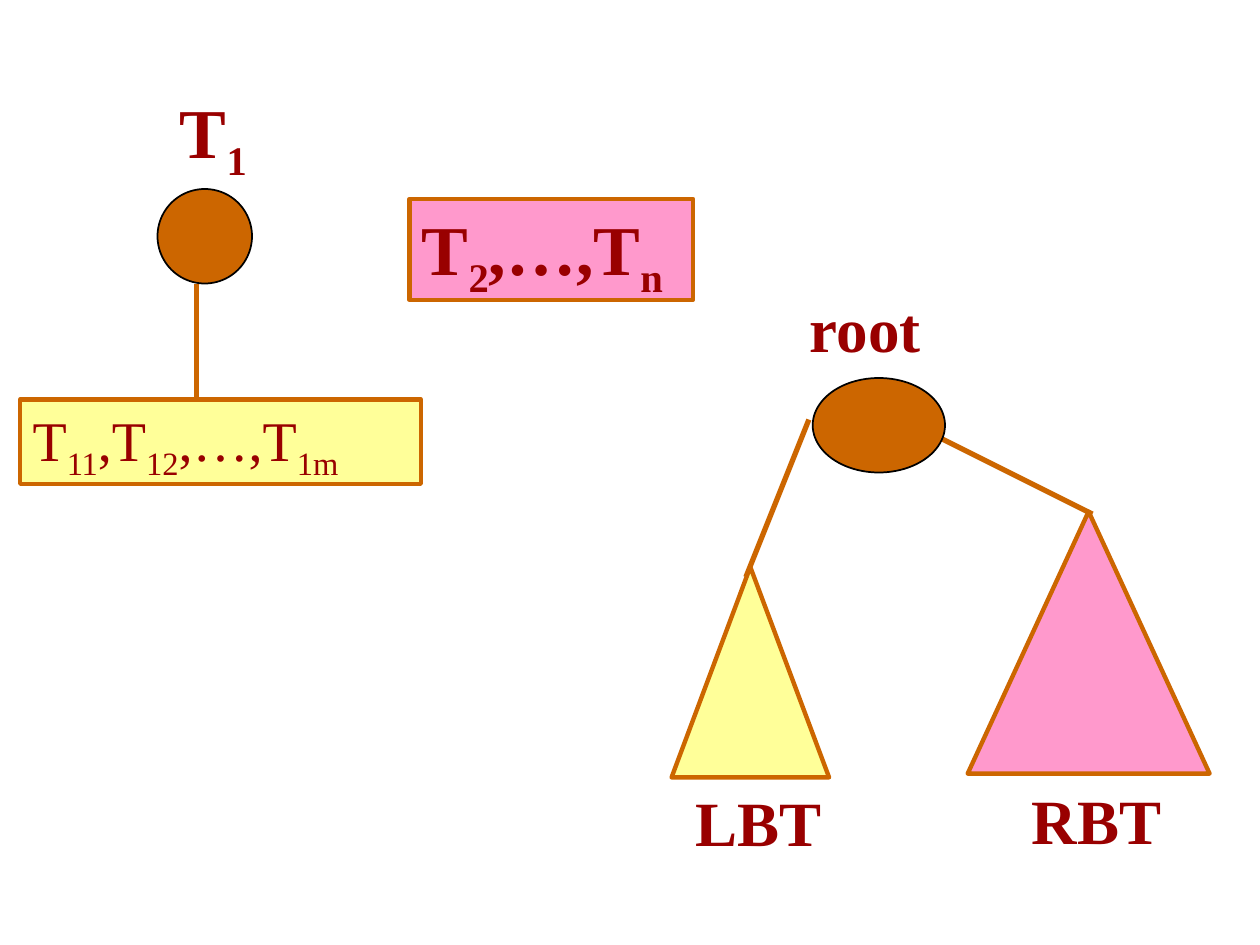
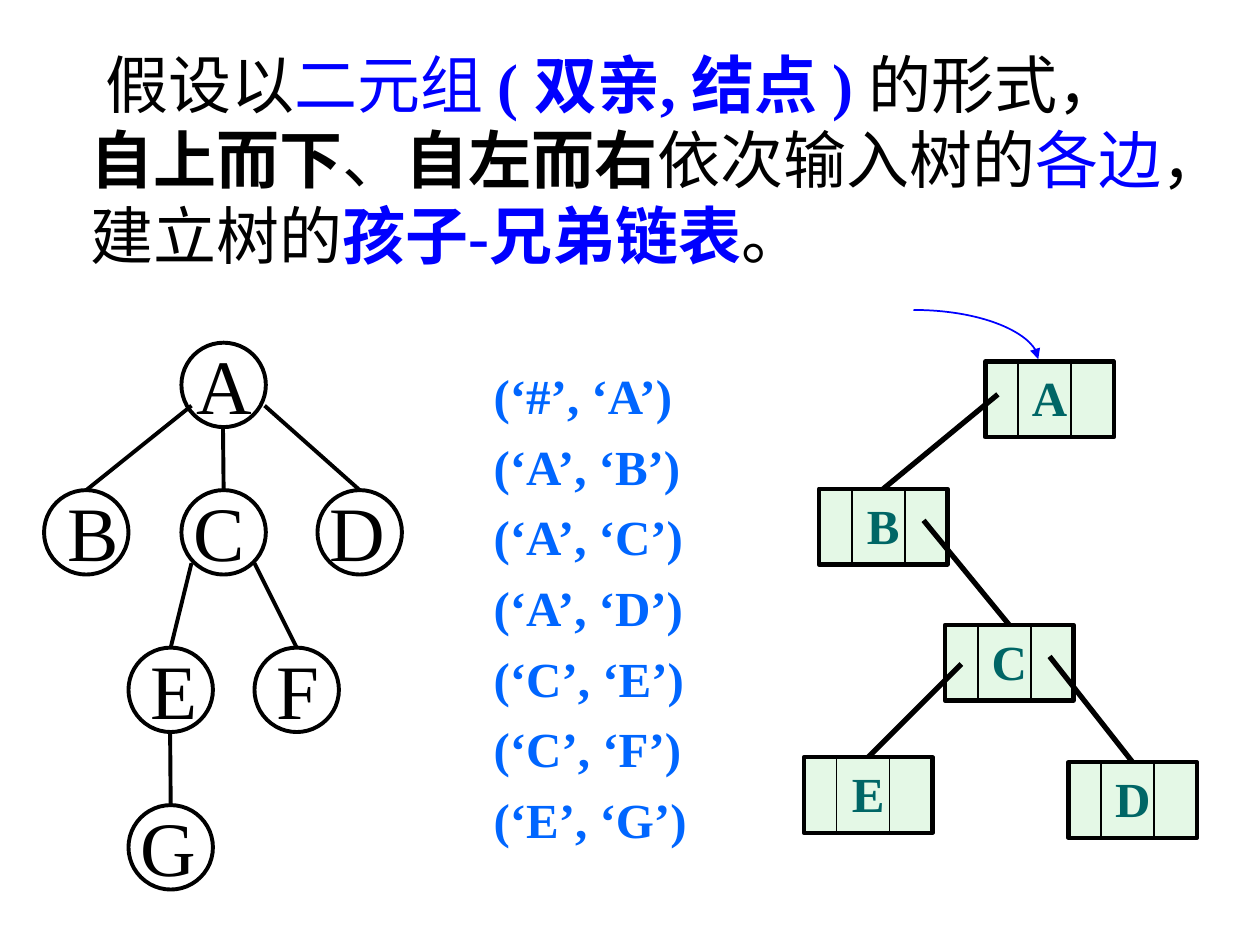
import pptx
import pptx.util
import pptx.dml.color
import pptx.enum.shapes
import pptx.enum.text
import pptx.oxml.ns
import lxml.etree

Inch, Pt = pptx.util.Inches, pptx.util.Pt
Kind = pptx.enum.shapes.MSO_SHAPE
Link = pptx.enum.shapes.MSO_CONNECTOR
Align = pptx.enum.text.PP_ALIGN

FONT = "Times New Roman"
HUES = {
    "ink": "000000", "wine": "990000", "rust": "CC6600", "lemon": "FFFF99",
    "pink": "FF99CC", "blue": "0000FF", "sky": "0066FF", "mint": "CAF2CE",
    "teal": "006666",
}

# Slide 1: a run is (text, changes); SUB marks an index
SUB = {"sub": True}
HEADS = [
    ((1.33, 0.65, 0.92, 0.77), 40, [("T", {}), ("1", SUB)]),
    ((5.42, 6.17, 1.5, 0.7), 36, [("LBT", {})]),
    ((8.09, 6.15, 1.5, 0.7), 36, [("RBT", {})]),
    ((6.33, 2.25, 1.64, 0.7), 36, [("root", {})]),
]
BARS = [
    ((0.16, 3.17, 3.18, 0.67), "lemon", 32, False,
     [("T", {}), ("11", SUB), (",T", {}), ("12", SUB), (",…,T", {}), ("1m", SUB)]),
    ((3.25, 1.58, 2.25, 0.8), "pink", 40, True,
     [("T", {}), ("2", SUB), (",…,T", {}), ("n", SUB)]),
]
ROOTS = [(1.25, 1.5, 0.75, 0.75), (6.45, 3, 1.05, 0.75)]
CONES = [((5.33, 4.5, 1.25, 1.67), "lemon"), ((7.68, 4.06, 1.92, 2.08), "pink")]
STEMS = [((1.56, 2.25), (1.56, 3.17)), ((6.42, 3.33), (5.92, 4.58)),
         ((7.17, 3.33), (8.67, 4.08))]

# Slide 2
BLUE, BOLD = {"hue": "blue"}, {"bold": True}
TASK = [
    [("假设以", {}), ("二元组 ", BLUE), ("( 双亲, 结点 ) ", BLUE | BOLD), ("的形式，", {})],
    [("自上而下", BOLD), ("、", {}), ("自左而右", BOLD), ("依次输入树的", {}),
     ("各边", BLUE), ("，", {})],
    [("建立树的", {}), ("孩子-兄弟链表", BLUE | BOLD), ("。", {})],
]
PAIRS = ["#A", "AB", "AC", "AD", "CE", "CF", "EG"]
DISC = 0.67
# name: left, top, shift of the letter, width of the letter box
NODES = {
    "A": (1.44, 2.72, 0.02, 0.64), "B": (0.35, 3.89, 0.09, 0.61),
    "C": (1.44, 3.89, 0, 0.61), "D": (2.52, 3.89, 0, 0.64),
    "E": (1.02, 5.14, 0.08, 0.57), "F": (2.02, 5.14, 0.08, 0.54),
    "G": (1.02, 6.39, 0, 0.64),
}
# parent, child, start measured from the parent's corner
EDGES = [("A", "B", 0.08, 0.5), ("A", "C", 0.33, DISC), ("A", "D", 0.66, 0.5),
         ("C", "E", 0.08, 0.58), ("C", "F", 0.58, 0.58), ("E", "G", 0.33, DISC)]
CELL = (1.02, 0.6)
CUTS = (0.26, 0.68)
CELLS = {"A": (7.82, 2.87), "B": (6.5, 3.88), "C": (7.5, 4.96),
         "D": (8.48, 6.05), "E": (6.38, 6.01)}
REFS = [("A", "B", 0.1, 0.26), ("B", "C", 0.83, 0.25),
        ("C", "D", 0.83, 0.25), ("C", "E", 0.13, 0.31)]


def paint(name):
    return pptx.dml.color.RGBColor.from_string(HUES[name])


def child(node, tag, **attrs):
    return lxml.etree.SubElement(node, pptx.oxml.ns.qn(tag), attrs)


def write(shape, paras, size, hue, bold=False, wrap=True, align=Align.LEFT, gap=None):
    """Fill a shape with paragraphs, each a list of runs."""
    frame = shape.text_frame
    frame.word_wrap = wrap
    frame.vertical_anchor = pptx.enum.text.MSO_ANCHOR.TOP
    for i, runs in enumerate(paras):
        para = frame.add_paragraph() if i else frame.paragraphs[0]
        para.alignment = align
        if gap:
            para.line_spacing = gap
        for text, mods in runs:
            run = para.add_run()
            run.text = text
            run.font.name, run.font.size = FONT, Pt(size)
            run.font.bold = mods.get("bold", bold)
            run.font.color.rgb = paint(mods.get("hue", hue))
            if "sub" in mods:
                run._r.get_or_add_rPr().set("baseline", "-25000")
    return frame


def label(slide, box, paras, *style, **more):
    return write(slide.shapes.add_textbox(*map(Inch, box)), paras, *style, **more)


def draw(slide, kind, box, fill, line, width):
    shape = slide.shapes.add_shape(kind, *map(Inch, box))
    shape.shadow.inherit = False
    if fill:
        shape.fill.solid()
        shape.fill.fore_color.rgb = paint(fill)
    else:
        shape.fill.background()
    shape.line.color.rgb = paint(line)
    shape.line.width = Pt(width)
    return shape


def join(slide, start, end, hue, width, kind=Link.STRAIGHT):
    line = slide.shapes.add_connector(kind, *map(Inch, start + end))
    line.line.color.rgb = paint(hue)
    line.line.width = Pt(width)
    child(line._element.spPr, "a:effectLst")
    return line


def link(slide, spots, shapes, refs, width):
    """Join each parent to the top middle of its child."""
    for parent, kid, dx, dy in refs:
        x, y = spots[parent][:2]
        line = join(slide, (x + dx, y + dy), spots[kid][:2], "ink", width)
        line.end_connect(shapes[kid], 0)


def forest(slide):
    for box, size, runs in HEADS:
        label(slide, box, [runs], size, "wine", True)
    for start, end in STEMS:
        join(slide, start, end, "rust", 3)
    for box, fill, size, bold, runs in BARS:
        bar = draw(slide, Kind.RECTANGLE, box, fill, "rust", 2.5)
        write(bar, [runs], size, "wine", bold)
    for box, fill in CONES:
        draw(slide, Kind.ISOSCELES_TRIANGLE, box, fill, "rust", 2.5)
    for box in ROOTS:
        draw(slide, Kind.OVAL, box, "rust", "ink", 1)


def tree(slide):
    discs = {}
    for name, (x, y, shift, wide) in NODES.items():
        discs[name] = draw(slide, Kind.OVAL, (x, y, DISC, DISC), None, "ink", 2.25)
        label(slide, (x + shift, y - 0.09, wide, 0.83), [[(name, {})]],
              44, "ink", wrap=False)
    link(slide, NODES, discs, EDGES, 2.25)


def chain(slide):
    """Draw the child-sibling list and the arrow to its head."""
    cells = {}
    wide, high = CELL
    for name, (x, y) in CELLS.items():
        cell = draw(slide, Kind.RECTANGLE, (x, y, wide, high), "mint", "ink", 2.5)
        tint = cell._element.spPr.find(".//" + pptx.oxml.ns.qn("a:srgbClr"))
        child(tint, "a:alpha", val="50000")
        write(cell, [[(name, {})]], 28, "teal", True, align=Align.CENTER)
        for cut in CUTS:
            join(slide, (x + cut, y + 0.01), (x + cut, y + high - 0.01), "ink", 1)
        cells[name] = cell
    link(slide, CELLS, cells, REFS, 3)
    arrow = join(slide, (7.25, 2.46), (8.24, 2.85), "blue", 1, Link.CURVE)
    props = arrow._element.spPr
    props.find(pptx.oxml.ns.qn("a:prstGeom")).set("prst", "curvedConnector2")
    child(props.find(pptx.oxml.ns.qn("a:ln")), "a:tailEnd", type="triangle")


def main():
    deck = pptx.Presentation()
    deck.slide_width, deck.slide_height = Inch(10), Inch(7.5)
    blank = deck.slide_layouts[6]
    forest(deck.slides.add_slide(blank))

    slide = deck.slides.add_slide(blank)
    tree(slide)
    pairs = [[(f"(‘{a}’, ‘{b}’)", {})] for a, b in PAIRS]
    label(slide, (3.82, 2.76, 1.74, 4.03), pairs, 28, "sky", True, wrap=False, gap=1.2)
    chain(slide)
    task = label(slide, (0.62, 0.31, 9.15, 1.92), TASK, 36, "ink")
    task.paragraphs[0]._p.get_or_add_pPr().set("indent", str(Inch(0.12)))
    deck.save("out.pptx")


if __name__ == "__main__":
    main()
